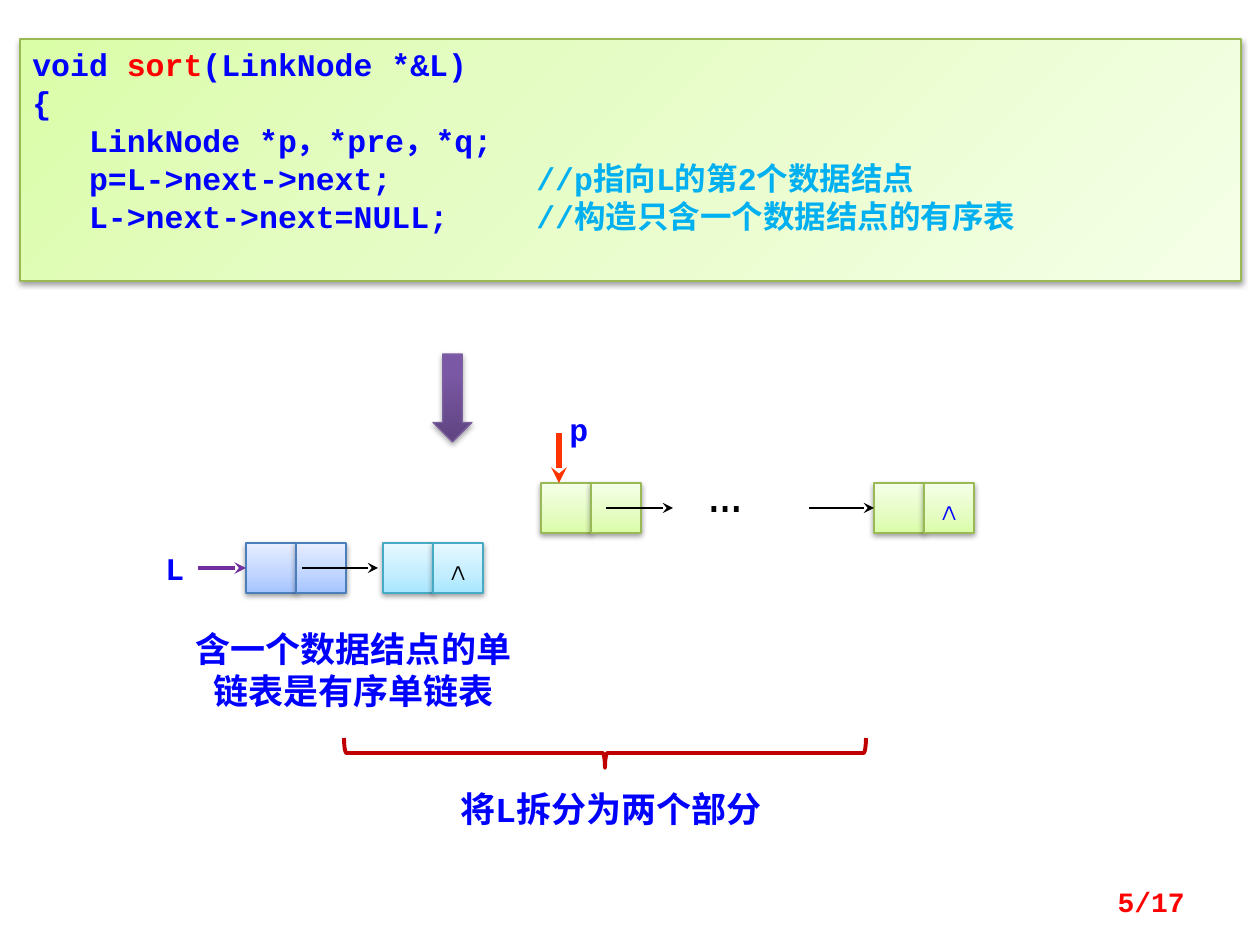
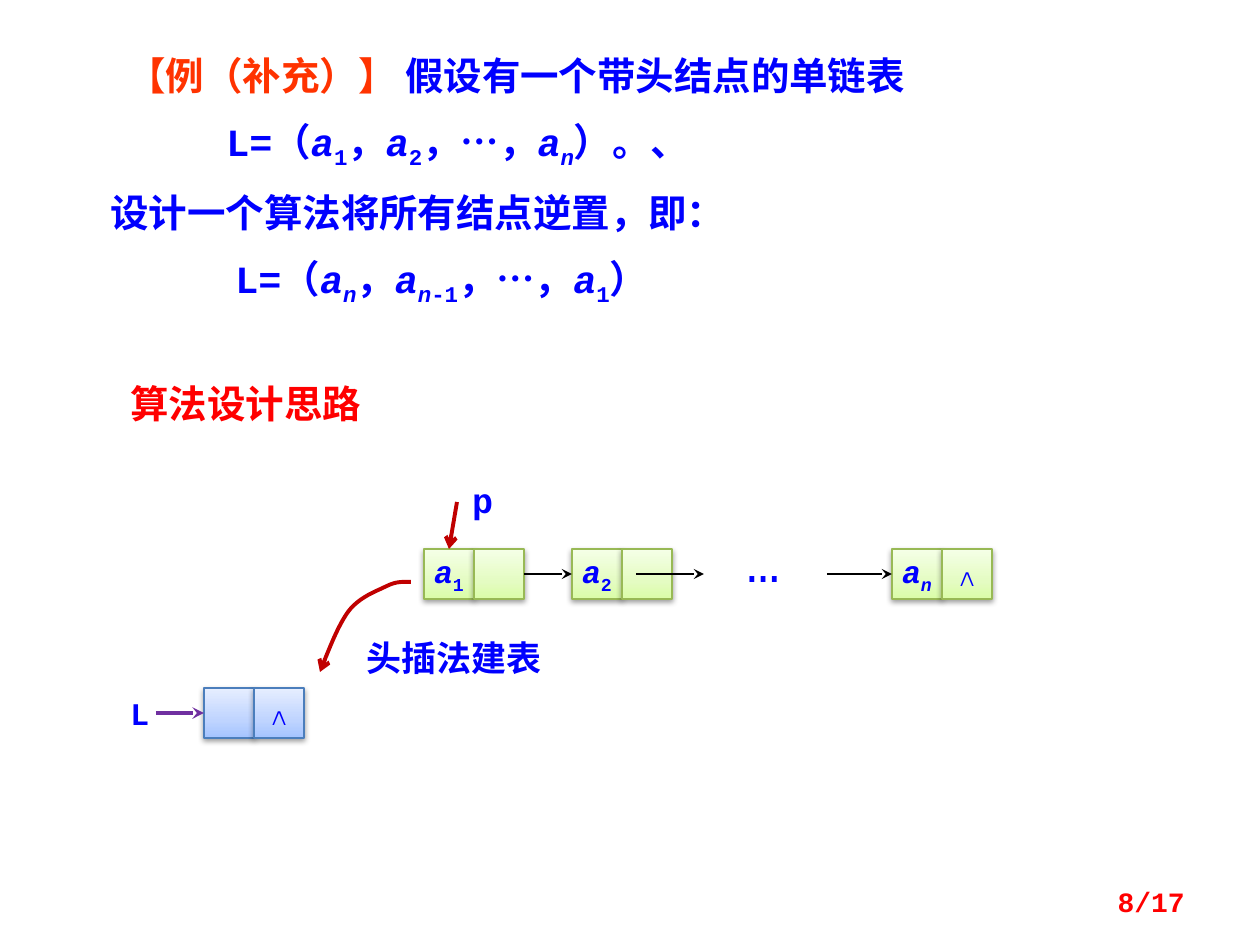
from dataclasses import dataclass
from typing import NamedTuple, Optional

import lxml.etree
import pptx
import pptx.dml.color
import pptx.enum.shapes
import pptx.enum.text
import pptx.oxml.ns
import pptx.util

RGBColor = pptx.dml.color.RGBColor
SHAPE = pptx.enum.shapes.MSO_SHAPE
ALIGN = pptx.enum.text.PP_ALIGN
ANCHOR = pptx.enum.text.MSO_ANCHOR
STRAIGHT = pptx.enum.shapes.MSO_CONNECTOR.STRAIGHT

# Shared look
EMU_PER_PX = 914400 / 126
FONT = "Courier New"
BLUE = RGBColor(0x00, 0x00, 0xFF)
RED = RGBColor(0xFF, 0x00, 0x00)
ORANGE = RGBColor(0xFF, 0x33, 0x00)
COMMENT = RGBColor(0x00, 0xB0, 0xF0)
BLACK = RGBColor(0x00, 0x00, 0x00)
PURPLE = RGBColor(0x70, 0x30, 0xA0)
DARK_RED = RGBColor(0xC0, 0x00, 0x00)

CELL = 50
TOP, LEFT, RIGHT = 0, 1, 3  # connection sites of a rectangle
CODE_TABS = (378, 504)
LAST_PAGE = 17


class Box(NamedTuple):
    left: int
    top: int
    width: int
    height: int


class Palette(NamedTuple):
    stops: tuple[tuple[int, str], ...]
    line: RGBColor
    shadow_alpha: int = 38


class Run(NamedTuple):
    text: str
    color: RGBColor = BLUE
    size: int = 18
    italic: bool = False
    subscript: bool = False
    bold: bool = True


@dataclass
class Paragraph:
    runs: list[Run]
    align: ALIGN = ALIGN.LEFT
    indent: int = 0
    before: float = 0
    line_spacing: Optional[float] = None
    tabs: tuple[int, ...] = ()


class Arrow(NamedTuple):
    start: tuple[int, int]
    end: tuple[int, int]
    color: RGBColor = BLACK
    width: float = 0.75
    head: str = "stealth"


GREEN_NODE = Palette(((0, "DAFDA7"), (35, "E4FCC2"), (100, "F5FFE7")), RGBColor(0x98, 0xB9, 0x55))
BLUE_NODE = Palette(((0, "A4C4FF"), (35, "BFD4FF"), (100, "E6EEFF")), RGBColor(0x4B, 0x7E, 0xBC))
CYAN_NODE = Palette(((0, "A7E6FF"), (35, "C1EDFF"), (100, "E7F8FF")), RGBColor(0x46, 0xAA, 0xC5))
PURPLE_ARROW = Palette(((0, "5F4480"), (80, "7B58A6"), (100, "7C57A8")), RGBColor(0x7D, 0x60, 0xA0), 35)


def px(value: float) -> int:
    return round(value * EMU_PER_PX)


def add_xml(parent, tag: str, **attributes):
    element = lxml.etree.SubElement(parent, pptx.oxml.ns.qn(tag))
    for name, value in attributes.items():
        element.set(name, str(value))
    return element


# Text
def write(frame, paragraphs: list[Paragraph]) -> None:
    for index, item in enumerate(paragraphs):
        paragraph = frame.paragraphs[0] if index == 0 else frame.add_paragraph()
        paragraph.alignment = item.align
        if item.line_spacing:
            paragraph.line_spacing = pptx.util.Pt(item.line_spacing)
        if item.indent:
            paragraph._p.get_or_add_pPr().set("marL", str(px(item.indent)))
        if index and item.before:
            paragraph.space_before = pptx.util.Pt(item.before)
        if item.tabs:
            tab_list = add_xml(paragraph._p.get_or_add_pPr(), "a:tabLst")
            for tab in item.tabs:
                add_xml(tab_list, "a:tab", pos=px(tab), algn="l")
        for part in item.runs:
            run = paragraph.add_run()
            run.text = part.text
            run.font.name = FONT
            run.font.size = pptx.util.Pt(part.size)
            run.font.bold = part.bold
            run.font.italic = part.italic
            run.font.color.rgb = part.color
            if part.subscript:
                run._r.get_or_add_rPr().set("baseline", "-25000")


def add_text(slide, box: Box, paragraphs: list[Paragraph], anchor=ANCHOR.TOP) -> None:
    frame = slide.shapes.add_textbox(*map(px, box)).text_frame
    frame.word_wrap = True
    frame.vertical_anchor = anchor
    write(frame, paragraphs)


def add_label(slide, box: Box, text: str, size: int = 18, color: RGBColor = BLUE,
              align=ALIGN.LEFT, bold: bool = True) -> None:
    add_text(slide, box, [Paragraph([Run(text, color, size, bold=bold)], align)])


def add_page_number(slide, number: int) -> None:
    run = Run(f"{number}/{LAST_PAGE}", RED, 16)
    add_text(slide, Box(903, 876, 294, 50), [Paragraph([run], ALIGN.RIGHT)], ANCHOR.MIDDLE)


# Shapes
def add_gradient_shape(slide, kind, box: Box, palette: Palette, angle: int = 270):
    shape = slide.shapes.add_shape(kind, *map(px, box))
    properties = shape._element.spPr
    gradient = add_xml(properties, "a:gradFill", rotWithShape=1)
    stops = add_xml(gradient, "a:gsLst")
    for position, color in palette.stops:
        stop = add_xml(stops, "a:gs", pos=position * 1000)
        add_xml(stop, "a:srgbClr", val=color)
    add_xml(gradient, "a:lin", ang=angle * 60000, scaled=0)
    shape.line.color.rgb = palette.line
    shape.line.width = pptx.util.Pt(0.75)
    shape.shadow.inherit = False
    effects = properties.find(pptx.oxml.ns.qn("a:effectLst"))
    shadow = add_xml(effects, "a:outerShdw", blurRad=40000, dist=20000, dir=5400000, rotWithShape=0)
    color = add_xml(shadow, "a:srgbClr", val="000000")
    add_xml(color, "a:alpha", val=palette.shadow_alpha * 1000)
    return shape


def add_node(slide, left: int, top: int, palette: Palette,
             data: Optional[list[Run]] = None, link: Optional[list[Run]] = None) -> tuple:
    """Draw a list node: a data cell and a link cell side by side."""
    cells = []
    for column, runs in enumerate((data, link)):
        box = Box(left + column * CELL, top, CELL, CELL)
        cell = add_gradient_shape(slide, SHAPE.RECTANGLE, box, palette)
        if runs:
            cell.text_frame.word_wrap = False
            cell.text_frame.vertical_anchor = ANCHOR.MIDDLE
            write(cell.text_frame, [Paragraph(runs, ALIGN.CENTER)])
        cells.append(cell)
    return tuple(cells)


def style_line(shape, color: RGBColor, width: float, head: str) -> None:
    shape.line.color.rgb = color
    shape.line.width = pptx.util.Pt(width)
    add_xml(shape.line._get_or_add_ln(), "a:tailEnd", type=head)


def add_arrow(slide, arrow: Arrow, source=None, target=None, side: int = LEFT) -> None:
    connector = slide.shapes.add_connector(STRAIGHT, *map(px, arrow.start + arrow.end))
    style_line(connector, arrow.color, arrow.width, arrow.head)
    add_xml(connector._element.spPr, "a:effectLst")
    if source is not None:
        connector.begin_connect(source, RIGHT)
    if target is not None:
        connector.end_connect(target, side)


def add_curve(slide, start: tuple, segments: list, color: RGBColor, steps: int = 12) -> None:
    """Draw joined cubic curves, each given by two control points and an end."""
    points, origin = [], start
    for first, second, end in segments:
        for step in range(1, steps + 1):
            t = step / steps
            weights = ((1 - t) ** 3, 3 * t * (1 - t) ** 2, 3 * t * t * (1 - t), t ** 3)
            corners = (origin, first, second, end)
            points.append(tuple(px(sum(w * c[axis] for w, c in zip(weights, corners)))
                                for axis in (0, 1)))
        origin = end
    builder = slide.shapes.build_freeform(*map(px, start))
    builder.add_line_segments(points, close=False)
    curve = builder.convert_to_shape()
    curve.fill.background()
    curve.shadow.inherit = False
    style_line(curve, color, 2.25, "arrow")


def item_name(index: str) -> list[Run]:
    return [Run("a", italic=True), Run(index, italic=index == "n", subscript=True)]


# Slide: splitting the list
def build_split_slide(presentation) -> None:
    slide = presentation.slides.add_slide(presentation.slide_layouts[6])

    code = [
        [Run("void "), Run("sort", RED), Run("(LinkNode *&L)")],
        [Run("{")],
        [Run("   LinkNode *p，*pre，*q;")],
        [Run("   p=L->next->next;\t\t"), Run("//p指向L的第2个数据结点", COMMENT)],
        [Run("   L->next->next=NULL;\t"), Run("//构造只含一个数据结点的有序表", COMMENT)],
    ]
    panel = add_gradient_shape(slide, SHAPE.RECTANGLE, Box(20, 39, 1221, 242), GREEN_NODE, 45)
    panel.text_frame.vertical_anchor = ANCHOR.TOP
    panel.text_frame.word_wrap = True
    write(panel.text_frame, [Paragraph(runs, line_spacing=21.7, tabs=CODE_TABS) for runs in code])

    # Sorted part
    head, _ = add_node(slide, 246, 543, BLUE_NODE)
    add_node(slide, 383, 543, CYAN_NODE, link=[Run("∧", BLACK)])
    add_label(slide, Box(153, 543, 77, 50), "L")
    add_arrow(slide, Arrow((198, 568), (246, 568), PURPLE, 2.25), target=head)
    add_arrow(slide, Arrow((302, 568), (378, 568)))
    add_label(slide, Box(177, 621, 353, 97), "含一个数据结点的单链表是有序单链表", 20, align=ALIGN.CENTER)

    # Remaining part
    add_node(slide, 541, 483, GREEN_NODE)
    last, _ = add_node(slide, 874, 483, GREEN_NODE, link=[Run("∧")])
    add_label(slide, Box(557, 404, 49, 50), "p")
    add_arrow(slide, Arrow((559, 433), (559, 483), ORANGE, 3))
    add_arrow(slide, Arrow((606, 508), (673, 508)))
    add_label(slide, Box(696, 450, 100, 79), "…", 32, BLACK, bold=False)
    add_arrow(slide, Arrow((809, 508), (874, 508)), target=last)

    # Step arrow and brace
    add_gradient_shape(slide, SHAPE.DOWN_ARROW, Box(433, 354, 39, 88), PURPLE_ARROW)
    brace = slide.shapes.add_shape(SHAPE.RIGHT_BRACE, *map(px, Box(590, 492, 30, 522)))
    brace.rotation = 90
    brace.fill.background()
    brace.line.color.rgb = DARK_RED
    brace.line.width = pptx.util.Pt(2.25)
    brace.shadow.inherit = False
    add_label(slide, Box(434, 781, 354, 55), "将L拆分为两个部分", 20, align=ALIGN.CENTER)
    add_page_number(slide, 5)


# Slide: reversing the list
def build_reverse_slide(presentation) -> None:
    slide = presentation.slides.add_slide(presentation.slide_layouts[5])

    title = slide.shapes.title
    title.left, title.top, title.width, title.height = map(px, Box(118, 374, 387, 59))
    title.text_frame.auto_size = pptx.enum.text.MSO_AUTO_SIZE.NONE
    title.text_frame.vertical_anchor = ANCHOR.TOP
    write(title.text_frame, [Paragraph([Run("算法设计思路", RED, 22)])])

    comma, dots = Run("，"), Run("，…，")
    a1, a2, an = map(item_name, "12n")
    minus_one = Run("-1", subscript=True)
    problem = [
        (17, [Run("【例（补充）】 ", ORANGE), Run("假设有一个带头结点的单链表")]),
        (116, [Run("L=（"), *a1, comma, *a2, dots, *an, Run("）。、")]),
        (0, [Run("设计一个算法将所有结点逆置，即：")]),
        (125, [Run("L=（"), *an, comma, *an, minus_one, dots, *a1, Run("）")]),
    ]
    add_text(slide, Box(98, 46, 965, 270), [
        Paragraph([run._replace(size=22) for run in runs], ALIGN.JUSTIFY, indent, 11)
        for indent, runs in problem])

    # Empty result list
    head, _ = add_node(slide, 204, 688, BLUE_NODE, link=[Run("∧")])
    add_label(slide, Box(118, 688, 37, 50), "L")
    add_arrow(slide, Arrow((156, 713), (204, 713), PURPLE, 2.25), target=head)

    # Data nodes
    first, first_link = add_node(slide, 424, 549, GREEN_NODE, a1)
    second, _ = add_node(slide, 572, 549, GREEN_NODE, a2)
    last, _ = add_node(slide, 892, 549, GREEN_NODE, an, [Run("∧")])
    add_arrow(slide, Arrow((524, 574), (572, 574)), first_link, second)
    add_arrow(slide, Arrow((636, 574), (704, 574)))
    add_label(slide, Box(734, 520, 100, 79), "…", 32, bold=False)
    add_arrow(slide, Arrow((827, 574), (892, 574)), target=last)
    add_arrow(slide, Arrow((457, 502), (449, 549), DARK_RED, 2.25, "arrow"), target=first, side=TOP)
    add_label(slide, Box(448, 472, 69, 55), "p", 20, align=ALIGN.CENTER)

    # Head insertion
    add_curve(slide, (411, 582), [
        ((404, 582), (397, 581), (387, 586)),
        ((377, 591), (359, 597), (348, 612)),
        ((338, 626), (329, 649), (320, 672)),
    ], DARK_RED)
    add_label(slide, Box(354, 630, 258, 54), "头插法建表", 20)
    add_page_number(slide, 8)


def main() -> None:
    presentation = pptx.Presentation()
    presentation.slide_width, presentation.slide_height = px(1260), px(945)
    build_split_slide(presentation)
    build_reverse_slide(presentation)
    presentation.save("out.pptx")


if __name__ == "__main__":
    main()
